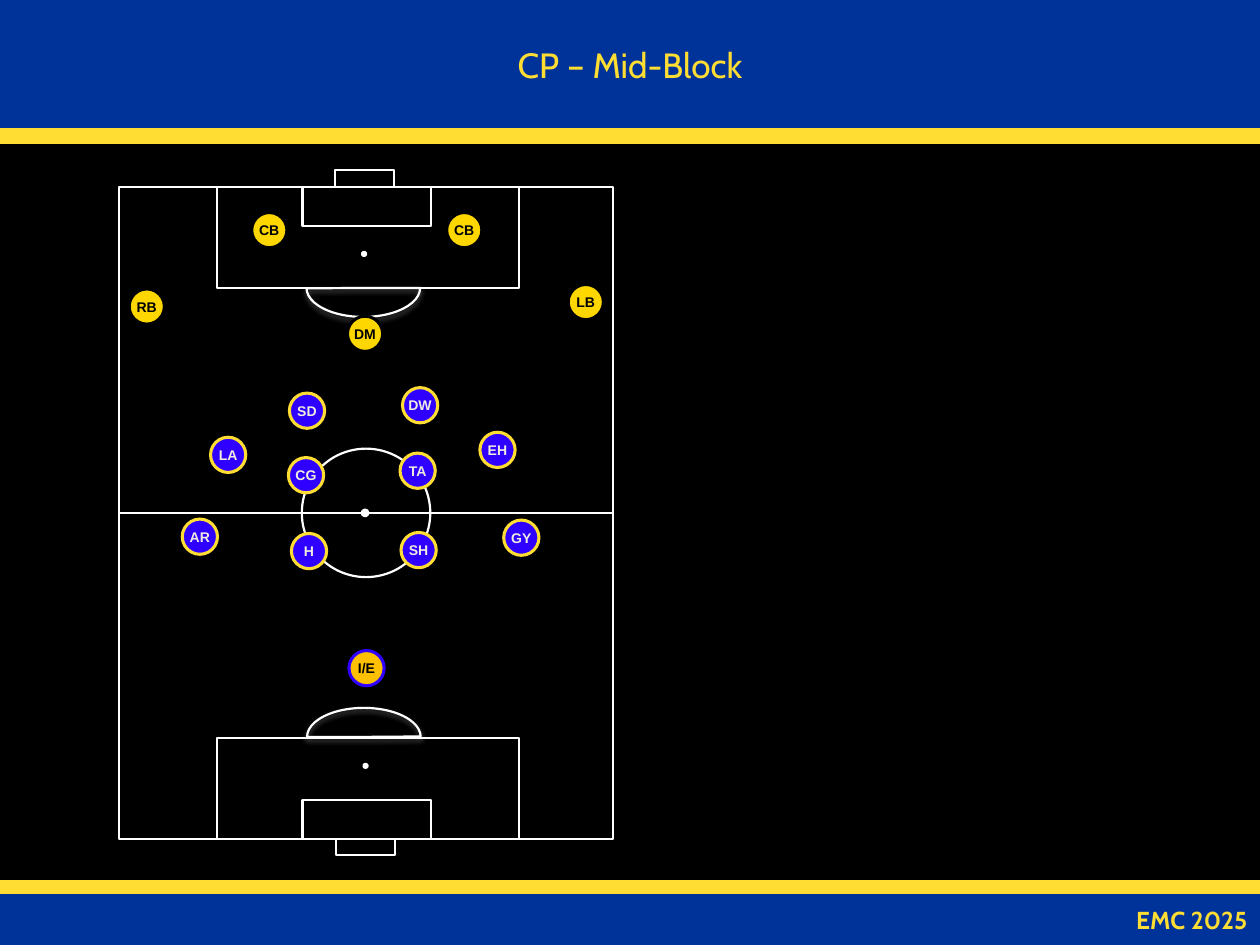
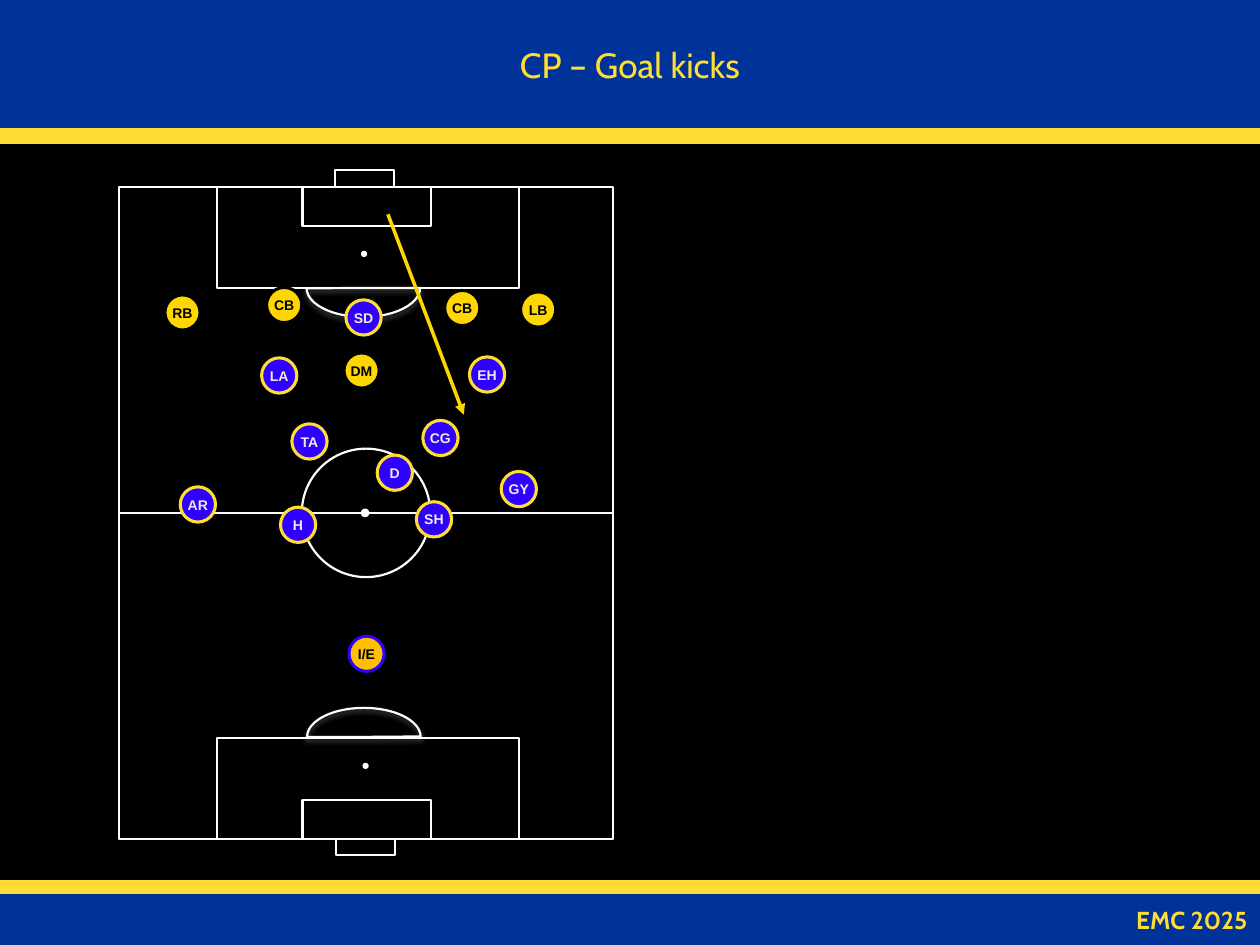
"""Build two football tactics pages that share bands and a pitch."""
from dataclasses import dataclass
from typing import NamedTuple

from lxml import etree
from pptx import Presentation
from pptx.dml.color import RGBColor
from pptx.enum.shapes import MSO_CONNECTOR, MSO_SHAPE
from pptx.enum.text import MSO_ANCHOR, PP_ALIGN
from pptx.oxml.ns import qn
from pptx.util import Cm, Pt

RECTANGLE = MSO_SHAPE.RECTANGLE
OVAL = MSO_SHAPE.OVAL
PIE = MSO_SHAPE.PIE
STRAIGHT = MSO_CONNECTOR.STRAIGHT
MIDDLE = MSO_ANCHOR.MIDDLE
CENTER = PP_ALIGN.CENTER
RIGHT = PP_ALIGN.RIGHT
LEFT_SIDE, RIGHT_SIDE = 1, 3


@dataclass(frozen=True)
class Theme:
    """Colours, fonts, type sizes and line widths of the deck."""
    background: str = "000000"
    band: str = "003399"
    accent: str = "FFDD33"
    marking: str = "FFFFFF"
    arrow: str = "FFD700"
    heading_font: str = "Cabin"
    token_font: str = "Arial"
    title_size: float = 20
    footer_size: float = 14
    token_size: float = 8
    band_line: float = 0.75
    marking_line: float = 1.25
    token_line: float = 1.75
    arrow_line: float = 2


class Area(NamedTuple):
    """Left, top, width and height in centimetres."""
    left: float
    top: float
    width: float
    height: float


class Team(NamedTuple):
    """Fill, outline and text colour of a player token."""
    fill: str
    outline: str
    text: str


class Player(NamedTuple):
    """A labelled token and its centre in centimetres."""
    label: str
    x: float
    y: float
    team: Team


class Arrow(NamedTuple):
    """Start and end of a ball path in centimetres."""
    start_x: float
    start_y: float
    end_x: float
    end_y: float


class Tactic(NamedTuple):
    """Content of one page."""
    title: str
    players: list[Player]
    arrows: list[Arrow]


THEME = Theme()
HOME = Team("2F00FF", "FFDD33", "EEECE1")
KEEPER = Team("FFC000", "2F00FF", "000000")
AWAY = Team("FFD700", "000000", "000000")

PAGE_WIDTH, PAGE_HEIGHT = 25.4, 19.05
HEADER = Area(0, 0, PAGE_WIDTH, 2.59)
FOOTER = Area(0, 18.03, PAGE_WIDTH, 1.02)
STRIPES = [Area(0, 17.75, PAGE_WIDTH, 0.3), Area(0, 2.59, PAGE_WIDTH, 0.3)]
TOKEN_DIAMETER = 0.71

PITCH = Area(2.4, 3.77, 9.96, 13.14)
PITCH_BOTTOM = PITCH.top + PITCH.height
CENTRE_X = PITCH.left + PITCH.width / 2
CENTRE_Y = PITCH.top + PITCH.height / 2
BOX_SIZES = [(4.37, 6.1, 2.03), (6.1, 2.59, 0.78)]
GOALS = [Area(6.76, PITCH.top - 0.34, 1.19, 0.34), Area(6.78, PITCH_BOTTOM, 1.19, 0.33)]
SPOTS = [(7.34, 5.12, 0.08), (7.37, 15.44, 0.08), (7.36, CENTRE_Y, 0.13)]
ARCS = [(Area(6.18, 5.22, 2.29, 1.17), 0), (Area(6.19, 14.27, 2.29, 1.17), 180)]
CIRCLE_DIAMETER = 2.59

TACTICS = [
    Tactic("CP – Mid-Block", [
        Player("SH", 8.44, 11.09, HOME),
        Player("I/E", 7.39, 13.47, KEEPER),
        Player("H", 6.23, 11.11, HOME),
        Player("AR", 4.03, 10.82, HOME),
        Player("GY", 10.51, 10.84, HOME),
        Player("CG", 6.17, 9.58, HOME),
        Player("TA", 8.42, 9.49, HOME),
        Player("SD", 6.19, 8.28, HOME),
        Player("DW", 8.47, 8.17, HOME),
        Player("EH", 10.03, 9.07, HOME),
        Player("LA", 4.6, 9.17, HOME),
        Player("CB", 5.43, 4.64, AWAY),
        Player("RB", 2.96, 6.18, AWAY),
        Player("DM", 7.36, 6.73, AWAY),
        Player("CB", 9.36, 4.64, AWAY),
        Player("LB", 11.81, 6.09, AWAY),
    ], []),
    Tactic("CP – Goal kicks", [
        Player("SH", 8.75, 10.47, HOME),
        Player("I/E", 7.39, 13.18, KEEPER),
        Player("H", 6.01, 10.58, HOME),
        Player("AR", 3.99, 10.17, HOME),
        Player("GY", 10.46, 9.86, HOME),
        Player("CG", 8.88, 8.83, HOME),
        Player("TA", 6.24, 8.9, HOME),
        Player("SD", 7.33, 6.4, HOME),
        Player("LA", 5.63, 7.57, HOME),
        Player("EH", 9.82, 7.55, HOME),
        Player("D", 7.96, 9.53, HOME),
        Player("CB", 5.73, 6.15, AWAY),
        Player("RB", 3.68, 6.3, AWAY),
        Player("DM", 7.29, 7.47, AWAY),
        Player("CB", 9.32, 6.21, AWAY),
        Player("LB", 10.85, 6.24, AWAY),
    ], [Arrow(7.82, 4.32, 9.35, 8.36)]),
]


def color(code: str) -> RGBColor:
    """Turn a hex code into a colour."""
    return RGBColor.from_string(code)


def centred(x: float, y: float, diameter: float) -> Area:
    """Return the square area around a centre."""
    return Area(x - diameter / 2, y - diameter / 2, diameter, diameter)


def style_shape(shape, fill: str | None, line: str, width: float) -> None:
    """Set the fill and outline of a shape."""
    if fill is None:
        shape.fill.background()
    else:
        shape.fill.solid()
        shape.fill.fore_color.rgb = color(fill)
    shape.line.color.rgb = color(line)
    shape.line.width = Pt(width)


def draw_shape(shapes, kind, area: Area, fill: str | None, line: str, width: float):
    """Draw a preset shape without a shadow."""
    shape = shapes.add_shape(kind, *(Cm(length) for length in area))
    style_shape(shape, fill, line, width)
    shape.shadow.inherit = False
    return shape


def draw_line(shapes, path_ends: Arrow, line: str, width: float):
    """Draw a straight connector without a shadow."""
    connector = shapes.add_connector(STRAIGHT, *(Cm(length) for length in path_ends))
    connector.line.color.rgb = color(line)
    connector.line.width = Pt(width)
    etree.SubElement(connector.element.spPr, qn("a:effectLst"))
    return connector


def write_text(shape, text: str, *, font: str, size: float, fill: str,
               bold: bool = False, align=CENTER) -> None:
    """Write one formatted line, centred vertically, into a shape."""
    frame = shape.text_frame
    frame.vertical_anchor = MIDDLE
    para = frame.paragraphs[0]
    para.alignment = align
    span = para.add_run()
    span.text = text
    span.font.name = font
    span.font.size = Pt(size)
    span.font.bold = bold
    span.font.color.rgb = color(fill)


def add_glow(shape, code: str) -> None:
    """Give a shape a soft shadow below it."""
    effects = shape.element.spPr.find(qn("a:effectLst"))
    shadow = etree.SubElement(effects, qn("a:outerShdw"), blurRad=str(Pt(3.1)),
                              dist=str(Pt(1.8)), dir="5400000", rotWithShape="0")
    tint = etree.SubElement(shadow, qn("a:srgbClr"), val=code)
    etree.SubElement(tint, qn("a:alpha"), val="35000")


def draw_frame(page, title: str) -> None:
    """Draw the background, title, stripes and footer of a page."""
    page.background.fill.solid()
    page.background.fill.fore_color.rgb = color(THEME.background)
    heading = page.shapes.title
    heading.left, heading.top, heading.width, heading.height = map(Cm, HEADER)
    style_shape(heading, THEME.band, THEME.band, THEME.band_line)
    write_text(heading, title, font=THEME.heading_font, size=THEME.title_size,
               fill=THEME.accent)
    for stripe in STRIPES:
        draw_shape(page.shapes, RECTANGLE, stripe, THEME.accent, THEME.accent,
                   THEME.band_line)
    footer = draw_shape(page.shapes, RECTANGLE, FOOTER, THEME.band, THEME.band,
                        THEME.band_line)
    write_text(footer, "EMC 2025", font=THEME.heading_font, size=THEME.footer_size,
               fill=THEME.accent, bold=True, align=RIGHT)


def draw_marking(shapes, kind, area: Area, fill: str | None = None):
    """Draw one white pitch marking."""
    return draw_shape(shapes, kind, area, fill, THEME.marking, THEME.marking_line)


def draw_pitch(page) -> None:
    """Draw the pitch as one group."""
    shapes = page.shapes.add_group_shape().shapes
    outline = draw_marking(shapes, RECTANGLE, PITCH)
    halfway = draw_line(shapes, Arrow(PITCH.left, CENTRE_Y, PITCH.left + PITCH.width, CENTRE_Y),
                        THEME.marking, THEME.marking_line)
    halfway.begin_connect(outline, LEFT_SIDE)
    halfway.end_connect(outline, RIGHT_SIDE)
    draw_marking(shapes, OVAL, centred(CENTRE_X, CENTRE_Y, CIRCLE_DIAMETER))
    for left, width, height in BOX_SIZES:
        for top in (PITCH.top, PITCH_BOTTOM - height):
            draw_marking(shapes, RECTANGLE, Area(left, top, width, height))
    for goal in GOALS:
        draw_marking(shapes, RECTANGLE, goal)
    for spot in SPOTS:
        draw_marking(shapes, OVAL, centred(*spot), THEME.marking)
    for area, rotation in ARCS:
        arc = draw_marking(shapes, PIE, area)
        arc.adjustments[0] = 0
        arc.adjustments[1] = 107.73
        arc.rotation = rotation
        add_glow(arc, THEME.marking)


def draw_player(page, player: Player) -> None:
    """Draw a round player token."""
    team = player.team
    token = draw_shape(page.shapes, OVAL, centred(player.x, player.y, TOKEN_DIAMETER),
                       team.fill, team.outline, THEME.token_line)
    frame = token.text_frame
    frame.margin_left = frame.margin_right = 0
    frame.margin_top = frame.margin_bottom = Cm(0.1)
    frame.word_wrap = False
    write_text(token, player.label, font=THEME.token_font, size=THEME.token_size,
               fill=team.text, bold=True)


def draw_arrow(page, arrow: Arrow) -> None:
    """Draw a ball path with an arrowhead at its end."""
    connector = draw_line(page.shapes, arrow, THEME.arrow, THEME.arrow_line)
    line = connector.element.spPr.find(qn("a:ln"))
    etree.SubElement(line, qn("a:tailEnd"), type="triangle")


def main() -> None:
    """Build and save the deck."""
    deck = Presentation()
    deck.slide_width, deck.slide_height = Cm(PAGE_WIDTH), Cm(PAGE_HEIGHT)
    title_only = deck.slide_layouts[5]
    for tactic in TACTICS:
        page = deck.slides.add_slide(title_only)
        draw_frame(page, tactic.title)
        draw_pitch(page)
        for player in tactic.players:
            draw_player(page, player)
        for arrow in tactic.arrows:
            draw_arrow(page, arrow)
    deck.save("out.pptx")


if __name__ == "__main__":
    main()
